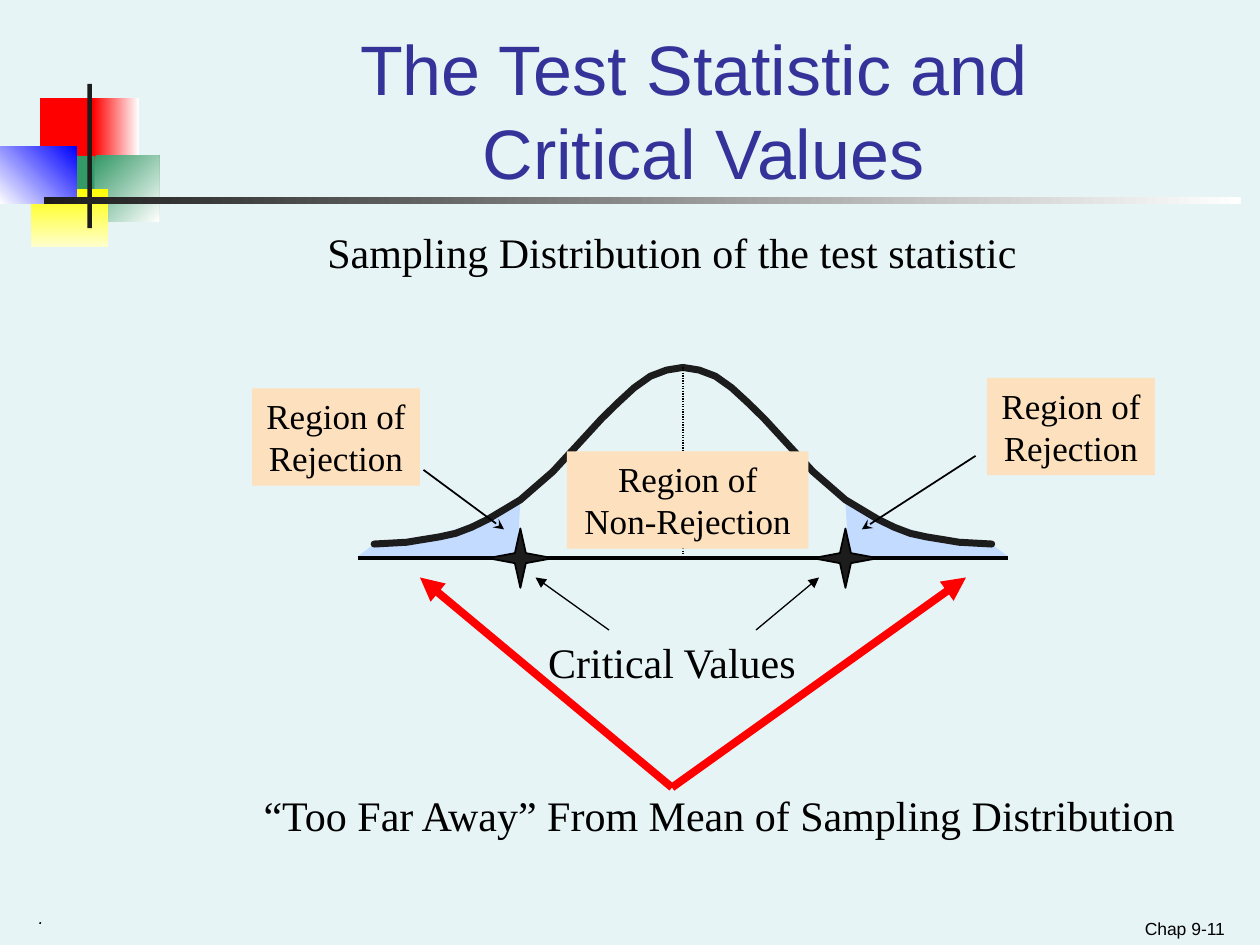
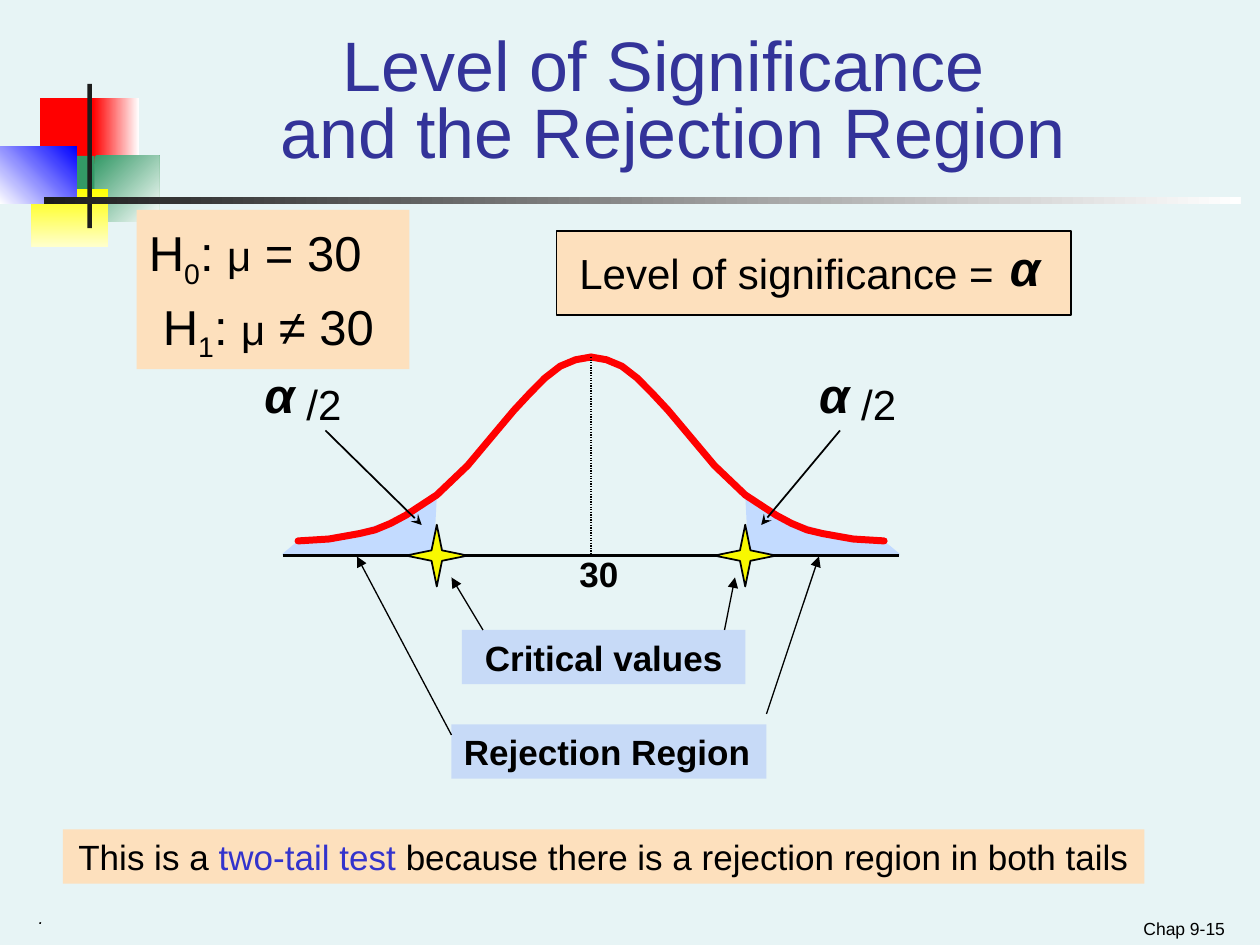
from dataclasses import dataclass

from pptx import Presentation
from pptx.dml.color import RGBColor
from pptx.enum.dml import MSO_LINE
from pptx.enum.shapes import MSO_CONNECTOR, MSO_SHAPE
from pptx.enum.text import MSO_ANCHOR, MSO_AUTO_SIZE, PP_ALIGN
from pptx.oxml.ns import qn
from pptx.oxml.xmlchemy import OxmlElement
from pptx.util import Pt


@dataclass(frozen=True)
class Theme:
    sans: str = "Arial"
    serif: str = "Times New Roman"
    back: str = "E7F4F5"
    ink: str = "000000"
    dark: str = "1C1C1C"
    title: str = "333399"
    accent: str = "3333CC"
    red: str = "FF0000"
    green: str = "339966"
    blue: str = "0000FF"
    yellow: str = "FFFF00"
    cream: str = "FFFFCC"
    white: str = "FFFFFF"
    gold: str = "F8F800"
    peach: str = "FDE0BD"
    sky: str = "C7DAF7"
    tail: str = "C3DBFF"
    head: int = 40
    large: int = 28
    mid: int = 24
    small: int = 20
    foot: int = 10


T = Theme()
LEFT, CENTER, RIGHT = PP_ALIGN.LEFT, PP_ALIGN.CENTER, PP_ALIGN.RIGHT

# Half of the bell: steps from the mean, and drop as a share of its height
CURVE = [(19, 1), (17, .99), (16, .975), (15, .96), (14, .94), (13, .905),
         (12, .86), (10, .75), (8, .59), (6, .39), (5, .29), (4, .2),
         (3, .115), (2, .05), (1, .015), (0, 0)]
TAIL = [(20, 1.07), (19, 1), (14.9, .94), (12.8, .885), (10.5, .766),
        (10, .757), (10.2, 1.08), (20, 1.08)]
STEPS, BASE, CUT = 20, 1.08, 10  # half-width, axis drop, critical value


def rgb(code):
    return RGBColor.from_string(code)


def shift(origin, *spot):
    """Move a point or a box by the left and top of origin."""
    return (origin[0] + spot[0], origin[1] + spot[1], *spot[2:])


def paint(shape, fill=None, edge=None, width=1):
    shape.shadow.inherit = False
    if fill:
        shape.fill.solid()
        shape.fill.fore_color.rgb = rgb(fill)
    else:
        shape.fill.background()
    if edge:
        shape.line.color.rgb = rgb(edge)
        shape.line.width = Pt(width)
    else:
        shape.line.fill.background()


def block(slide, box, kind=MSO_SHAPE.RECTANGLE, **look):
    shape = slide.shapes.add_shape(kind, *map(Pt, box))
    paint(shape, **look)
    return shape


def style(font, size=None, face=None, color=None, bold=None, italic=None):
    if size:
        font.size = Pt(size)
    if face:
        font.name = face
    if color:
        font.color.rgb = rgb(color)
    if bold:
        font.bold = True
    if italic:
        font.italic = True


def label(slide, box, lines, size, face=T.sans, align=LEFT, fill=None,
          anchor=MSO_ANCHOR.TOP, wrap=True, bold=False, italic=False):
    """Write lines, each a string or a list of (text, baseline, font) runs."""
    if fill:
        shape = block(slide, box, fill=fill)
    else:
        shape = slide.shapes.add_textbox(*map(Pt, box))
    frame = shape.text_frame
    frame.word_wrap = wrap
    frame.vertical_anchor = anchor
    for i, line in enumerate(lines):
        para = frame.add_paragraph() if i else frame.paragraphs[0]
        para.alignment = align
        style(para.font, size, face, T.ink, bold, italic)
        if isinstance(line, str):
            para.text = line
            continue
        for text, base, look in line:
            run = para.add_run()
            run.text = text
            style(run.font, **look)
            if base:
                run._r.get_or_add_rPr().set("baseline", str(base))
    return frame


def indent(para, left):
    para._p.get_or_add_pPr().set("marL", str(Pt(left)))


def link(slide, start, end, color=T.ink, width=.75, tip="triangle"):
    line = slide.shapes.add_connector(
        MSO_CONNECTOR.STRAIGHT, *map(Pt, (*start, *end)))
    line.line.color.rgb = rgb(color)
    line.line.width = Pt(width)
    props = line.element.spPr
    if tip:
        mark = OxmlElement("a:tailEnd")
        mark.set("type", tip)
        props.find(qn("a:ln")).append(mark)
    props.append(OxmlElement("a:effectLst"))
    return line


def links(slide, origin, pairs, **look):
    for x1, y1, x2, y2 in pairs:
        link(slide, shift(origin, x1, y1), shift(origin, x2, y2), **look)


def outline(slide, points, close, **look):
    points = [(Pt(x), Pt(y)) for x, y in points]
    maker = slide.shapes.build_freeform(*points[0])
    maker.add_line_segments(points[1:], close=close)
    shape = maker.convert_to_shape()
    paint(shape, **look)
    return shape


def bell(slide, box, ink, spark):
    """Draw the curve with shaded tails; the axis is the box's lower edge."""
    left, top, width, height = box
    mean, base = left + width / 2, top + height
    step, rise = width / 2 / STEPS, height / BASE

    def half(side, points):
        return [(mean + side * x * step, top + y * rise) for x, y in points]

    for side in (1, -1):
        outline(slide, half(side, TAIL), True, fill=T.tail)
    for side in (-1, 1):
        arc = outline(slide, half(side, CURVE), False, edge=ink, width=4)
        arc.element.spPr.find(qn("a:ln")).set("cap", "rnd")
    link(slide, (left, base), (left + width, base), width=2, tip=None)
    axis = link(slide, (mean, top), (mean, base), tip=None)
    axis.line.dash_style = MSO_LINE.ROUND_DOT
    wide, tall = 2 * step, .168 * rise
    for side in (-1, 1):
        star = block(slide, (mean + side * CUT * step - wide, base - tall,
                             2 * wide, 2 * tall),
                     MSO_SHAPE.STAR_4_POINT, fill=spark, edge=T.ink)
        star.adjustments[0] = .12


def emblem(slide, layout):
    """Put the coloured blocks and the title rule on the layout."""
    parts = [
        ((23, 56, 34.5, 37.5), T.red, T.red, 0),
        ((53.3, 56, 26, 37.5), T.red, T.white, 0),
        ((54, 89, 37, 37.5), T.green, T.white, 45),
        ((31, 89, 23, 37.5), T.green, T.green, 0),
        ((18, 108, 44, 33), T.yellow, T.cream, 90),
        ((0, 83.5, 44, 33), T.white, T.blue, 315),
        ((50, 48, 2.5, 82.5), T.dark, T.dark, 0),
        ((25, 112.5, 684, 4), T.dark, T.white, 0),
    ]
    for i, (box, first, last, turn) in enumerate(parts):
        shape = block(slide, box, fill=first)
        if first != last:
            shape.fill.gradient()
            shape.fill.gradient_angle = -turn % 360
            for stop, color in zip(shape.fill.gradient_stops, (first, last)):
                stop.color.rgb = rgb(color)
        shape.element.nvSpPr.cNvPr.set("id", str(20 + i))
        layout.shapes.element.insert(2 + i, shape.element)


def title(slide, box, text, spacing=1.0):
    shape = slide.shapes.title
    shape.left, shape.top, shape.width, shape.height = map(Pt, box)
    frame = shape.text_frame
    frame.auto_size = MSO_AUTO_SIZE.NONE
    frame.word_wrap = True
    frame.vertical_anchor = MSO_ANCHOR.BOTTOM
    para = frame.paragraphs[0]
    para.text = text
    para.alignment = CENTER
    para.line_spacing = spacing
    style(para.font, T.head, T.sans, T.title)


def footer(slide, page):
    label(slide, (540, 515, 167, 25), [page], T.foot, align=RIGHT,
          anchor=MSO_ANCHOR.BOTTOM)
    label(slide, (15, 515, 456, 25), ["."], T.foot, italic=True)


def sampling(slide, box):
    bell(slide, box, T.dark, T.dark)
    links(slide, box, [(37.5, 58.5, 83.5, 92.5), (353, 50.5, 288, 92.5)],
          width=1, tip="stealth")
    serif = dict(face=T.serif, align=CENTER)
    frame = label(slide, shift(box, -126.5, 150, 612, 124),
                  ["Critical Values",
                   "“Too Far Away” From Mean of Sampling Distribution"],
                  T.mid, **serif)
    far = frame.paragraphs[1]
    far.space_before = Pt(59)
    indent(far, 54)
    label(slide, shift(box, -24.5, -84, 462, 36),
          ["Sampling Distribution of the test statistic"], T.mid, T.serif)
    links(slide, box, [(143.5, 150, 101.5, 120), (227.5, 150, 263.5, 120)])
    for x, y in ((-60.5, 12), (359.5, 6)):
        label(slide, shift(box, x, y, 96, 55.5), ["Region of Rejection"],
              T.small, fill=T.peach, **serif)
    links(slide, box, [(179.5, 240, 35.5, 120), (179.5, 240, 347.5, 120)],
          color=T.red, width=4.5)
    label(slide, shift(box, 119.5, 48, 138, 55.5),
          ["Region of", "Non-Rejection"], T.small, fill=T.peach, **serif)


def alpha(slide, origin, x, y):
    label(slide, shift(origin, x, y, 44, 40), ["α"], T.large,
          bold=True, italic=True)


def level(slide, box):
    block(slide, box, fill=T.peach, edge=T.ink, width=.75)
    label(slide, shift(box, 6, 6, 258, 36), ["Level of significance ="],
          T.mid, wrap=False)
    alpha(slide, box, 252, 0)


def hypotheses(slide, box):
    lines = [[("H", 0, {}), (sub, -25000, {}), (": ", 0, {}),
              ("μ", 0, {"size": T.mid}), (rest, 0, {})]
             for sub, rest in (("0", " = 30"), ("1", " ≠ 30"))]
    frame = label(slide, box, lines, T.large, fill=T.peach)
    for para in frame.paragraphs:
        para.line_spacing = 1.1
    indent(frame.paragraphs[1], 8)


def summary(slide, box):
    label(slide, box, [[("This is a ", 0, {}),
                        ("two-tail test", 0, {"color": T.accent}),
                        (" because there is a rejection region in both tails",
                         0, {})]], T.small, align=CENTER, fill=T.peach)


def rejection(slide, box):
    for spot, text, align in (
            ((102.5, 156, 162, 31), "Critical values", CENTER),
            ((96.5, 210, 180, 31), "Rejection Region", LEFT)):
        label(slide, shift(box, *spot), [text], T.small, align=align,
              fill=T.sky, bold=True)
    bell(slide, box, T.red, T.gold)
    label(slide, shift(box, 162.5, 108, 42, 31), ["30"], T.small, bold=True)
    for x in (-17.5, 299.5):
        alpha(slide, box, x, .5)
        label(slide, shift(box, x + 24, 9, 73, 36), ["/2"], T.mid)
    links(slide, box, [(24.5, 42, 79.5, 96), (318.5, 42, 273.5, 96)],
          width=1, tip="stealth")
    links(slide, box, [(114.5, 156, 96.5, 126), (252.5, 156, 258.5, 126),
                       (276.5, 204, 306.5, 114), (96.5, 216, 42.5, 114)])


def main():
    deck = Presentation()
    deck.slide_width, deck.slide_height = Pt(720), Pt(540)
    back = deck.slide_master.background.fill
    back.solid()
    back.fore_color.rgb = rgb(T.back)
    layout = deck.slide_layouts[5]

    slide = deck.slides.add_slide(layout)
    emblem(slide, layout)
    title(slide, (126, 12, 552, 102),
          "The Test Statistic and \nCritical Values")
    sampling(slide, (204.5, 210, 371.5, 109))
    footer(slide, "Chap 9-11")

    slide = deck.slides.add_slide(layout)
    title(slide, (78, 24, 613, 78),
          "Level of Significance \nand the Rejection Region", .8)
    level(slide, (318, 132, 294, 48))
    summary(slide, (36, 474, 618, 31))
    hypotheses(slide, (78, 120, 156, 91))
    rejection(slide, (161.5, 204, 352.5, 113.5))
    footer(slide, "Chap 9-15")

    deck.save("out.pptx")


if __name__ == "__main__":
    main()
